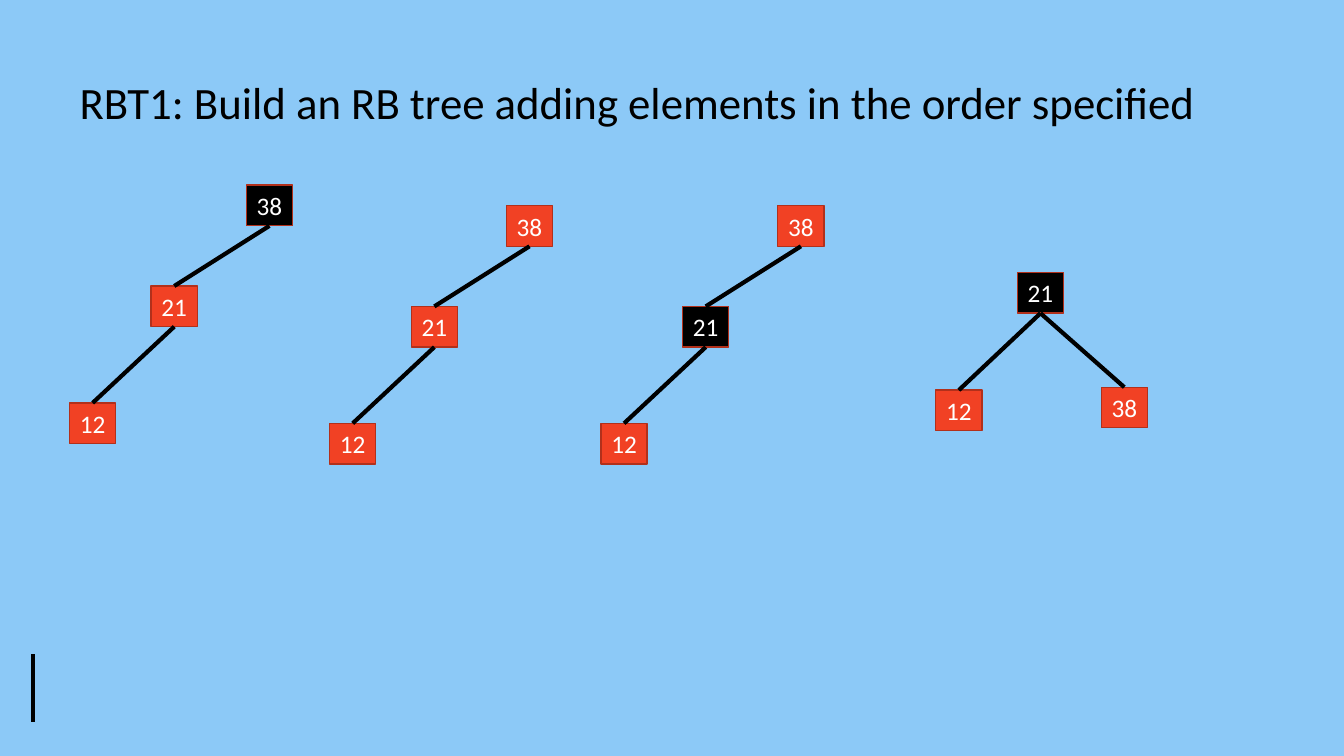
from lxml.etree import SubElement
from pptx import Presentation
from pptx.dml.color import RGBColor
from pptx.enum.shapes import MSO_CONNECTOR, MSO_SHAPE
from pptx.enum.text import MSO_ANCHOR, MSO_AUTO_SIZE, PP_ALIGN
from pptx.oxml.ns import qn
from pptx.util import Inches, Pt

COLUMNS, ROWS = 160, 90
RED, BLACK, WHITE = "F14124", "000000", "FFFFFF"


def color(value):
    return RGBColor.from_string(value)


def write(shape, text, size=18, fill=WHITE, align=PP_ALIGN.CENTER, inset=0.0):
    frame = shape.text_frame
    frame.word_wrap = False
    frame.auto_size = MSO_AUTO_SIZE.NONE
    frame.vertical_anchor = MSO_ANCHOR.MIDDLE
    frame.margin_left = frame.margin_right = Inches(inset)
    frame.margin_top = frame.margin_bottom = Inches(inset / 2)
    paragraph = frame.paragraphs[0]
    paragraph.alignment = align
    paragraph.line_spacing = 1
    run = paragraph.add_run()
    run.text = text
    run.font.name = "Calibri"
    run.font.size = Pt(size)
    run.font.color.rgb = color(fill)


class TreeSlide:
    node_size = (5.5, 4.84)
    outline = "B2301B"
    background = "8CC9F7"

    def __init__(self, presentation):
        self.column = presentation.slide_width / COLUMNS
        self.row = presentation.slide_height / ROWS
        self.slide = presentation.slides.add_slide(presentation.slide_layouts[5])
        self.slide.background.fill.solid()
        self.slide.background.fill.fore_color.rgb = color(self.background)

    def place(self, column, row):
        return round(column * self.column), round(row * self.row)

    def title(self, text, column, row, width, height):
        shape = self.slide.shapes.title
        shape.left, shape.top = self.place(column, row)
        shape.width, shape.height = self.place(width, height)
        write(shape, text, size=32, fill=BLACK, align=PP_ALIGN.LEFT, inset=0.1)

    def node(self, key, fill, column, row):
        shape = self.slide.shapes.add_shape(
            MSO_SHAPE.RECTANGLE, *self.place(column, row), *self.place(*self.node_size)
        )
        shape.shadow.inherit = False
        shape.fill.solid()
        shape.fill.fore_color.rgb = color(fill)
        shape.line.color.rgb = color(self.outline)
        shape.line.width = Pt(1)
        write(shape, key)
        return shape

    def line(self, start=(0, 0), end=(0, 0)):
        connector = self.slide.shapes.add_connector(
            MSO_CONNECTOR.STRAIGHT, *self.place(*start), *self.place(*end)
        )
        connector.line.color.rgb = color(BLACK)
        connector.line.width = Pt(3)
        SubElement(connector._element.spPr, qn("a:effectLst"))
        return connector

    def edge(self, parent, child):
        connector = self.line()
        connector.begin_connect(parent, 2)
        connector.end_connect(child, 0)

    def tree(self, column, row, offsets, edges, black_key):
        nodes = {
            key: self.node(key, BLACK if key == black_key else RED, column + right, row + down)
            for key, (right, down) in offsets.items()
        }
        for parent, child in edges:
            self.edge(nodes[parent], nodes[child])


def main():
    presentation = Presentation()
    presentation.slide_width = Inches(13.33)
    presentation.slide_height = Inches(7.5)
    slide = TreeSlide(presentation)

    slide.title("RBT1: Build an RB tree adding elements in the order specified", 8.28, 8.28, 135.4, 7.68)
    slide.line((3.96, 77.9), (3.96, 85.9))

    chain = {"12": (0, 25.92), "21": (9.72, 12), "38": (21.05, 0)}
    chain_edges = [("21", "12"), ("38", "21")]
    for column, row, black_key in [(8.28, 22.05, "38"), (39.24, 24.48, None), (71.55, 24.48, "21")]:
        slide.tree(column, row, chain, chain_edges, black_key)

    balanced = {"12": (0, 14), "21": (9.72, 0), "38": (19.7, 13.65)}
    slide.tree(111.4, 32.45, balanced, [("21", "12"), ("21", "38")], "21")

    presentation.save("out.pptx")


if __name__ == "__main__":
    main()
